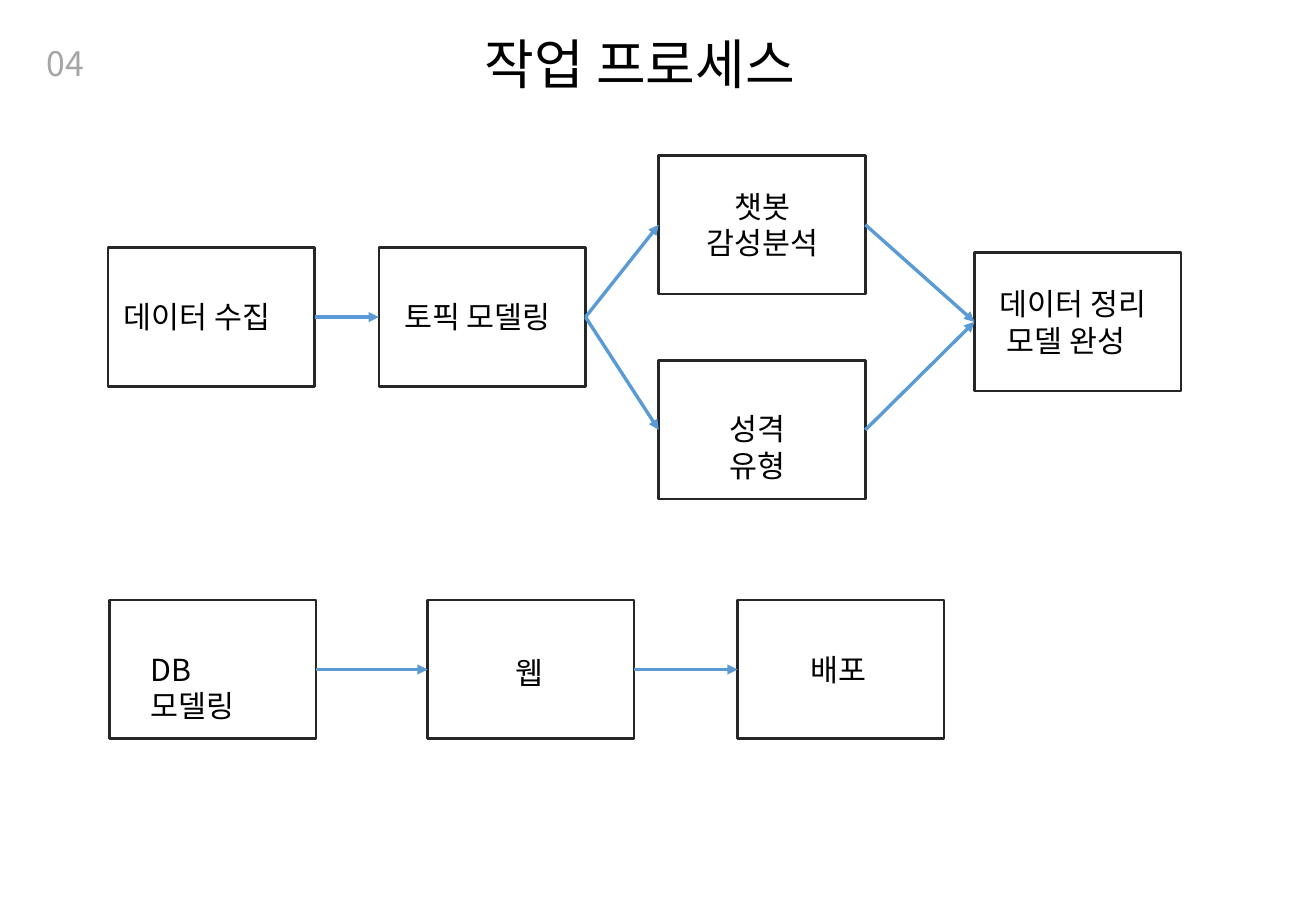
from lxml.etree import SubElement
from pptx import Presentation
from pptx.dml.color import RGBColor
from pptx.enum.shapes import MSO_CONNECTOR, MSO_SHAPE
from pptx.enum.text import MSO_AUTO_SIZE, PP_ALIGN
from pptx.oxml.ns import qn
from pptx.util import Cm, Pt

COLORS = {"text": "000000", "number": "A6A6A6", "border": "262626", "arrow": "5B9BD5"}
FONT = "Noto Sans CJK KR"
BOX_WIDTH, BOX_HEIGHT = Cm(4.32), Cm(2.9)
RIGHT_SITE, LEFT_SITE = 3, 1


def add_text(shapes, lines, place, size=18, color="text", align=PP_ALIGN.LEFT, wrap=True):
    box = shapes.add_textbox(*[Cm(length) for length in place])
    frame = box.text_frame
    frame.auto_size = MSO_AUTO_SIZE.SHAPE_TO_FIT_TEXT
    frame.word_wrap = wrap
    font_format = {"name": FONT, "size": Pt(size)}
    for index, line in enumerate(lines):
        para = frame.add_paragraph() if index else frame.paragraphs[0]
        para.alignment = align
        span = para.add_run()
        span.text = line
        for name, value in font_format.items():
            setattr(span.font, name, value)
        span.font.color.rgb = RGBColor.from_string(COLORS[color])
        # East Asian typeface for the Korean text
        SubElement(span.font._element, qn("a:ea"), typeface=FONT)


deck = Presentation()
deck.slide_width, deck.slide_height = Cm(27.51), Cm(19.05)
page = deck.slides.add_slide(deck.slide_layouts[6])

# Page number and title
add_text(page.shapes, ["04"], (0.71, 0.76, 1.3, 1.12), 20, "number", PP_ALIGN.CENTER, False)
add_text(page.shapes, ["작업 프로세스"], (9.88, 0.51, 7.72, 1.63), 32)

# Steps: box left and top, label left, top and width, label lines, alignment
steps = {
    "collect": (2.26, 5.18, 2.34, 6.12, 4.04, ["데이터 수집"], PP_ALIGN.LEFT),
    "topic": (7.92, 5.18, 8.2, 6.12, 4.04, ["토픽 모델링"], PP_ALIGN.LEFT),
    "chatbot": (13.77, 3.25, 14.4, 3.81, 3.07, ["챗봇", "감성분석"], PP_ALIGN.CENTER),
    "personality": (13.77, 7.54, 15.01, 8.46, 1.8, ["성격 유형"], PP_ALIGN.LEFT),
    "database": (2.29, 12.55, 2.9, 13.49, 3.07, ["DB모델링"], PP_ALIGN.LEFT),
    "web": (8.94, 12.55, 10.52, 13.56, 1.14, ["웹"], PP_ALIGN.LEFT),
    "release": (15.42, 12.55, 16.69, 13.49, 1.8, ["배포"], PP_ALIGN.LEFT),
    "model": (20.37, 5.28, 20.65, 5.84, 4.04, ["데이터 정리", " 모델 완성"], PP_ALIGN.LEFT),
}
boxes = {}
for step, (left, top, text_left, text_top, text_width, lines, align) in steps.items():
    group = page.shapes.add_group_shape()
    box = group.shapes.add_shape(MSO_SHAPE.RECTANGLE, Cm(left), Cm(top), BOX_WIDTH, BOX_HEIGHT)
    box.shadow.inherit = False
    box.fill.background()
    box.line.color.rgb = RGBColor.from_string(COLORS["border"])
    box.line.width = Pt(1.5)
    text_height = 0.23 + 0.79 * len(lines)
    add_text(group.shapes, lines, (text_left, text_top, text_width, text_height), align=align)
    boxes[step] = box

# Arrows from the right side of one step to the left side of the next
flows = [
    ("collect", "topic"), ("topic", "chatbot"), ("topic", "personality"),
    ("database", "web"), ("web", "release"),
    ("chatbot", "model"), ("personality", "model"),
]
for source, target in flows:
    arrow = page.shapes.add_connector(MSO_CONNECTOR.STRAIGHT, 0, 0, 0, 0)
    arrow.begin_connect(boxes[source], RIGHT_SITE)
    arrow.end_connect(boxes[target], LEFT_SITE)
    arrow.line.color.rgb = RGBColor.from_string(COLORS["arrow"])
    arrow.line.width = Pt(2)
    SubElement(arrow.line._get_or_add_ln(), qn("a:tailEnd"), type="triangle")
    SubElement(arrow._element.spPr, qn("a:effectLst"))

deck.save("out.pptx")
